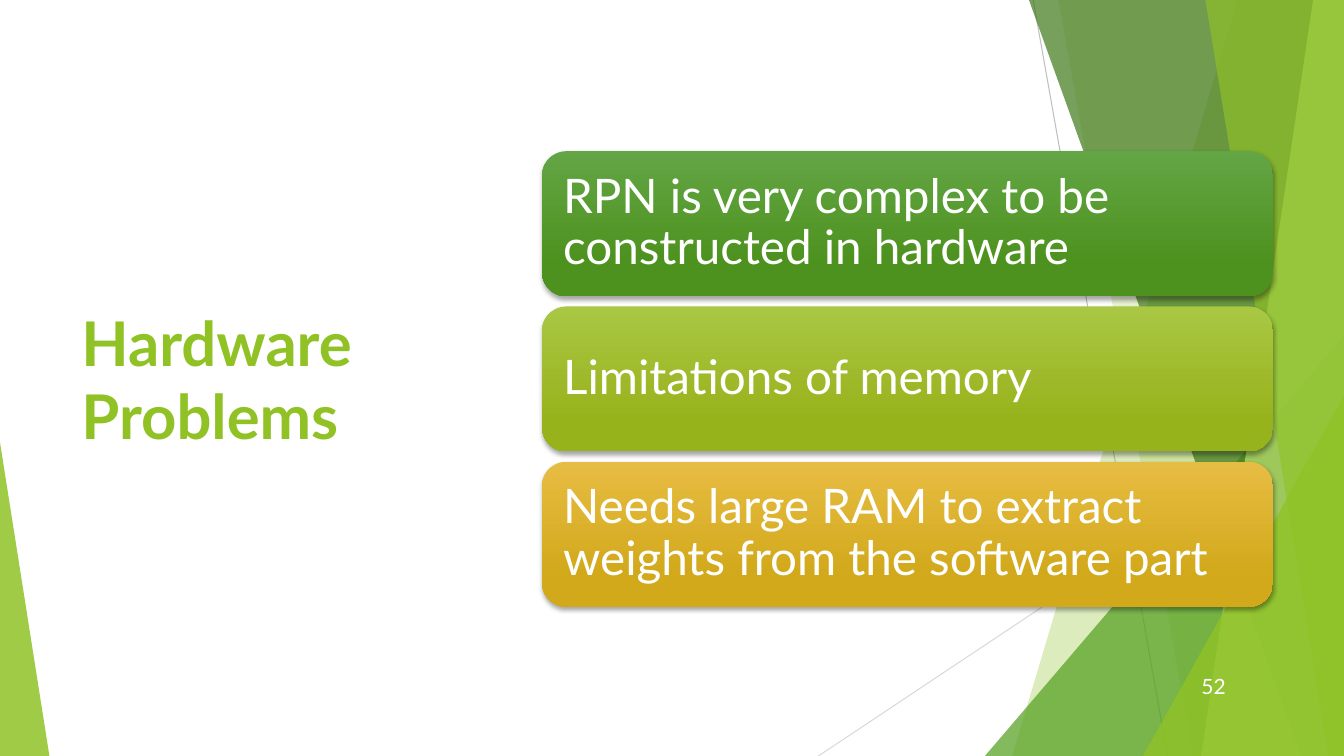
from lxml.etree import SubElement
from pptx import Presentation
from pptx.dml.color import RGBColor
from pptx.enum.shapes import MSO_CONNECTOR, MSO_SHAPE
from pptx.enum.text import MSO_ANCHOR, MSO_AUTO_SIZE, PP_ALIGN
from pptx.oxml.ns import qn
from pptx.util import Pt

W, H = 960, 540
FONT = "Lato"
WHITE = RGBColor(0xFF, 0xFF, 0xFF)
BLACK = RGBColor(0x00, 0x00, 0x00)
LIME = RGBColor(0x90, 0xC2, 0x26)
GREEN = RGBColor(0x54, 0xA0, 0x21)
DARK_GREEN = RGBColor(0x3F, 0x78, 0x19)
PALE_LIME = RGBColor(0xC0, 0xE4, 0x74)
GREY = RGBColor(0xBF, 0xBF, 0xBF)
LIGHT_GREY = RGBColor(0xD9, 0xD9, 0xD9)

# Card text with the top and bottom colours of its gradient
CARDS = [
    ("RPN is very complex to be constructed in hardware",
     RGBColor(0x63, 0xA5, 0x45), RGBColor(0x4D, 0x92, 0x1E)),
    ("Limitations of memory",
     RGBColor(0xAA, 0xC7, 0x44), RGBColor(0x97, 0xB3, 0x1C)),
    ("Needs large RAM to extract weights from the software part",
     RGBColor(0xE7, 0xBC, 0x43), RGBColor(0xD2, 0xA9, 0x1B)),
]
CARD_LEFT, CARD_TOP, CARD_W, CARD_H, CARD_PITCH = 387.2, 108, 522, 103.6, 110.9


def paint(s, color, opacity):
    """Give a shape a see-through fill, no outline and no shadow."""
    s.fill.solid()
    s.fill.fore_color.rgb = color
    clr = s.fill._xPr.find(qn("a:solidFill"))[0]
    SubElement(clr, qn("a:alpha"), val=str(opacity * 1000))
    s.line.fill.background()
    s.shadow.inherit = False


def add_line(slide, x1, y1, x2, y2, color):
    s = slide.shapes.add_connector(
        MSO_CONNECTOR.STRAIGHT, Pt(x1), Pt(y1), Pt(x2), Pt(y2))
    s.line.color.rgb = color
    s.line.width = Pt(0.75)
    SubElement(s._element.spPr, qn("a:effectLst"))


def add_band(slide, top_x, bottom_x, color, opacity):
    """Full-height band from a slanted left edge to the slide's right edge."""
    fb = slide.shapes.build_freeform(Pt(top_x), 0)
    fb.add_line_segments(
        [(Pt(W), 0), (Pt(W), Pt(H)), (Pt(bottom_x), Pt(H))], close=True)
    paint(fb.convert_to_shape(), color, opacity)


def add_corner(slide, left, top, width, apex, color, opacity):
    """Triangle standing on the slide's bottom edge."""
    s = slide.shapes.add_shape(
        MSO_SHAPE.ISOSCELES_TRIANGLE, Pt(left), Pt(top), Pt(width), Pt(H - top))
    s.adjustments[0] = apex
    paint(s, color, opacity)


def write(tf, text, size, color, align=PP_ALIGN.LEFT, bold=False):
    tf.word_wrap = True
    tf.auto_size = MSO_AUTO_SIZE.NONE
    tf.vertical_anchor = MSO_ANCHOR.MIDDLE
    p = tf.paragraphs[0]
    p.alignment = align
    r = p.add_run()
    r.text = text
    r.font.name = FONT
    r.font.size = Pt(size)
    r.font.bold = bold
    r.font.color.rgb = color
    return p


def add_card(slide, top, text, light, dark):
    s = slide.shapes.add_shape(
        MSO_SHAPE.ROUNDED_RECTANGLE,
        Pt(CARD_LEFT), Pt(top), Pt(CARD_W), Pt(CARD_H))
    s.line.fill.background()
    s.fill.gradient()
    s.fill.gradient_angle = 270
    for stop, color, position in zip(s.fill.gradient_stops, (light, dark), (0, 0.78)):
        stop.color.rgb = color
        stop.position = position

    # Soft shadow below the card
    s.shadow.inherit = False
    effects = s._element.spPr.find(qn("a:effectLst"))
    shadow = SubElement(effects, qn("a:outerShdw"), blurRad=str(Pt(3)),
                        dist=str(Pt(2)), dir="5400000", rotWithShape="0")
    clr = SubElement(shadow, qn("a:srgbClr"), val=str(BLACK))
    SubElement(clr, qn("a:alpha"), val="35000")

    tf = s.text_frame
    tf.margin_left = tf.margin_right = Pt(10)
    tf.margin_top = tf.margin_bottom = Pt(10)
    write(tf, text, 34, WHITE).line_spacing = 0.9


def main():
    prs = Presentation()
    prs.slide_width, prs.slide_height = Pt(W), Pt(H)
    slide = prs.slides.add_slide(prs.slide_layouts[5])

    # Background facets
    add_line(slide, 738, 0, 834, H, GREY)
    add_line(slide, W, 290, 584.6, H, LIGHT_GREY)
    add_band(slide, 884, 723, LIME, 30)
    add_band(slide, 756, 852, LIME, 20)
    add_corner(slide, 703.5, 240, 256.5, 1, GREEN, 72)
    add_band(slide, 735, 929.5, DARK_GREEN, 70)
    add_band(slide, 938, 858, PALE_LIME, 70)
    add_band(slide, 861, 949, LIME, 65)
    add_corner(slide, 816.5, 283, 143.5, 1, LIME, 80)
    add_corner(slide, 0, 316, 35.3, 0, LIME, 85)

    # Title
    title = slide.shapes.title
    title.left, title.top, title.width, title.height = Pt(51), Pt(109), Pt(279), Pt(322.5)
    write(title.text_frame, "Hardware Problems", 44, LIME, bold=True)

    # Slide number
    number = slide.shapes.add_textbox(Pt(828.7), Pt(476), Pt(54), Pt(28.8))
    write(number.text_frame, "52", 15, WHITE, PP_ALIGN.RIGHT).space_after = Pt(6)

    # Problem cards
    for i, (text, light, dark) in enumerate(CARDS):
        add_card(slide, CARD_TOP + i * CARD_PITCH, text, light, dark)

    prs.save("out.pptx")


if __name__ == "__main__":
    main()
